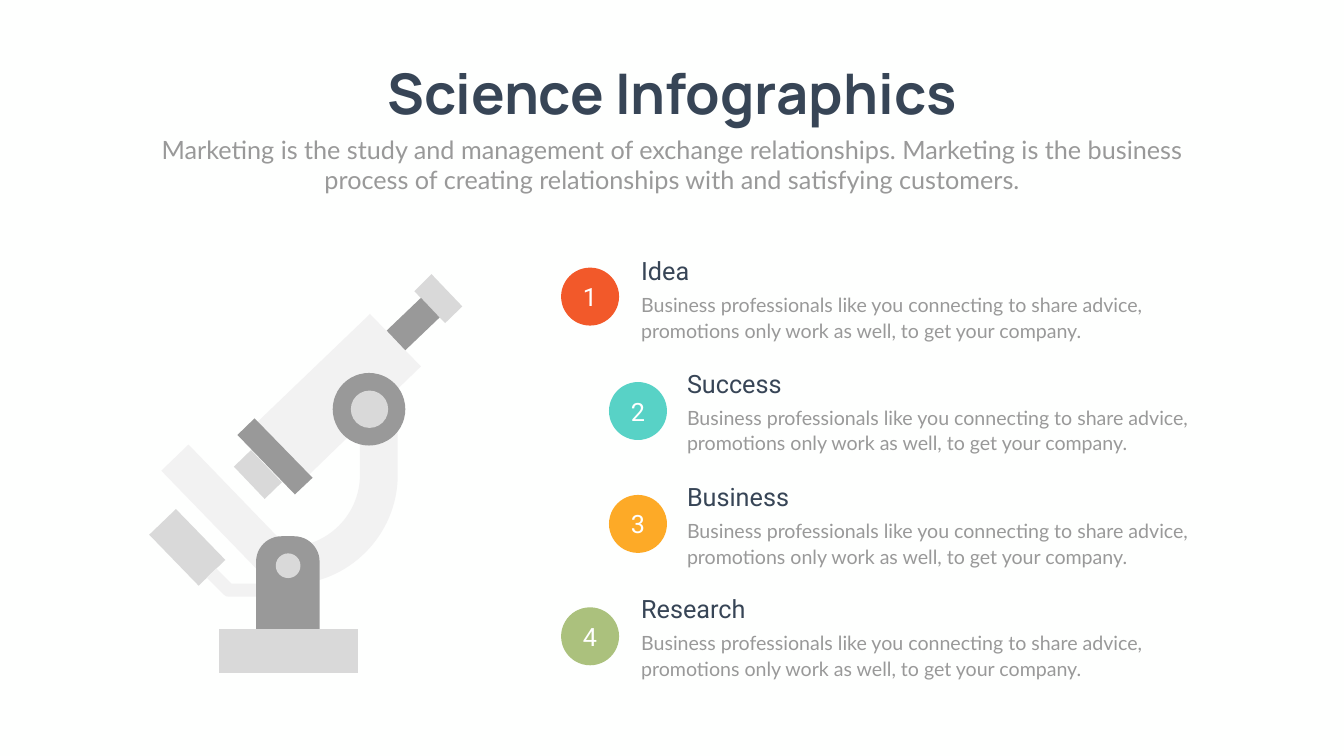
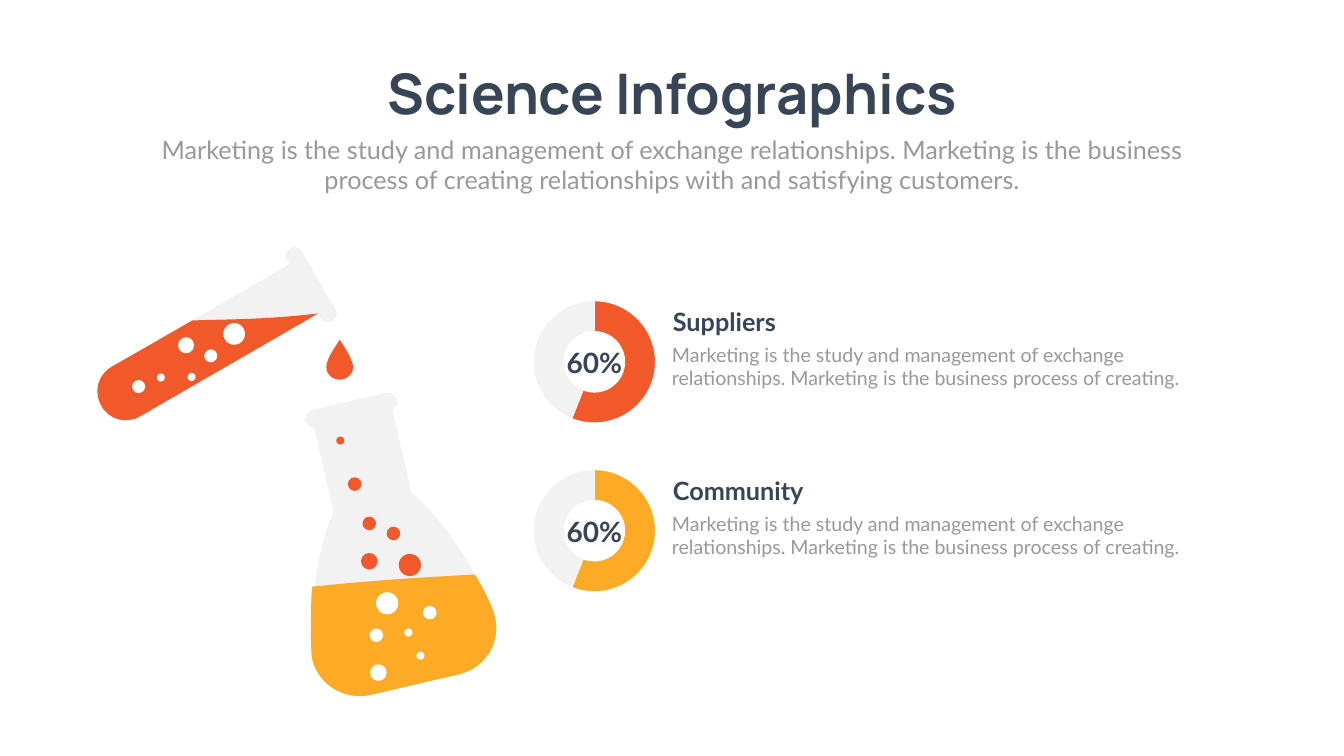
from lxml import etree
from pptx import Presentation
from pptx.chart.data import CategoryChartData
from pptx.dml.color import RGBColor
from pptx.enum.chart import XL_CHART_TYPE as Chart
from pptx.enum.shapes import MSO_SHAPE as Shape
from pptx.enum.text import MSO_ANCHOR as Anchor, MSO_AUTO_SIZE as AutoSize, PP_ALIGN as Align
from pptx.oxml.ns import qn
from pptx.util import Cm, Pt

# Shared look
NAVY, GRAY, WHITE, PAPER = "374556", "999999", "FFFFFF", "FEFFFE"
LIGHT, PALE = "D9D9D9", "F2F2F2"
ORANGE, TEAL, AMBER, GREEN = "F2592A", "58D2C6", "FDAA27", "ABC17D"

TITLE = "Science Infographics"
SUBTITLE = ("Marketing is the study and management of exchange relationships. "
            "Marketing is the business process of creating relationships with "
            "and satisfying customers.")
STYLES = {
    "title": {"font": {"size": Pt(80), "name": "Manrope", "bold": True},
              "color": NAVY, "para": {"alignment": Align.CENTER}},
    "subtitle": {"font": {"size": Pt(36), "name": "Lato"},
                 "color": GRAY, "para": {"alignment": Align.CENTER}},
    "number": {"font": {"size": Pt(36), "name": "Roboto"},
               "color": WHITE, "para": {"alignment": Align.CENTER}},
    "step": {"font": {"size": Pt(36), "name": "Roboto"},
             "color": NAVY, "para": {"alignment": Align.LEFT}},
    "step_body": {"font": {"size": Pt(28), "name": "Lato"}, "color": GRAY,
                  "para": {"alignment": Align.LEFT, "line_spacing": Pt(36.6)}},
    "percent": {"font": {"size": Pt(40), "name": "Lato", "bold": True},
                "color": NAVY, "para": {"alignment": Align.CENTER}},
    "topic": {"font": {"size": Pt(36), "name": "Lato", "bold": True},
              "color": NAVY, "para": {"alignment": Align.LEFT}},
    "topic_body": {"font": {"size": Pt(28), "name": "Lato"},
                   "color": GRAY, "para": {"alignment": Align.LEFT}},
}

# Slide 1: steps as name, colour, indented, badge top, text top
STEPS = [("Idea", ORANGE, False, 5.31, 5.01), ("Success", TEAL, True, 7.58, 7.25),
         ("Business", AMBER, True, 9.82, 9.5), ("Research", GREEN, False, 12.05, 11.72)]
STEP_BODY = ("Business professionals like you connecting to share advice, "
             "promotions only work as well, to get your company.")

# Outlines: a pair is a line to a point, six numbers are a Bezier curve
MICROSCOPE = [
    (LIGHT, [(4.34, 13.35), (7.11, 13.35), (7.11, 12.48), (4.34, 12.48)]),  # foot
    (PALE, [(5.11, 8.37), (6.13, 9.42), (8.35, 7.27), (7.34, 6.23)]),  # tube
    (GRAY, [(4.71, 8.63), (5.85, 9.81), (6.2, 9.48), (5.05, 8.3)]),  # collar
    (PALE, [(3.2, 9.34), (5.12, 11.32), (5.66, 10.81), (3.74, 8.82)]),  # stage
    (LIGHT, [(2.96, 10.61), (3.94, 11.62), (4.47, 11.11), (3.49, 10.1)]),  # lamp
    (LIGHT, [(4.64, 9.26), (5.25, 9.9), (5.59, 9.57), (4.98, 8.93)]),  # lens
    (LIGHT, [(8.22, 5.78), (8.83, 6.41), (9.17, 6.08), (8.56, 5.44)]),  # eyepiece
    (GRAY, [(7.67, 6.56), (8.04, 6.95), (8.72, 6.3), (8.35, 5.91)]),  # neck
    (PALE, [(5.71, 11.6), (6.91, 11.6, 7.89, 10.62, 7.89, 9.42), (7.89, 8.08),
            (7.14, 8.08), (7.14, 9.42), (7.14, 10.21, 6.5, 10.85, 5.71, 10.85)]),  # arm
    (PALE, [(4.54, 11.84), (5.15, 11.84), (5.15, 11.58), (4.59, 11.58), (4.29, 11.28),
            (4.1, 11.46), (4.44, 11.8), (4.47, 11.83, 4.5, 11.84, 4.54, 11.84)]),  # cable
]
KNOB = [(GRAY, 6.6, 7.4, 1.44), (LIGHT, 6.96, 7.75, 0.74)]
STAND, HINGE = (5.08, 10.64, 1.26, 1.84), (LIGHT, 5.47, 10.98, 0.49)

# Slide 2: glassware and charts
DROP = [(6.54, 7.45), (6.44, 7.35, 6.46, 7.24, 6.54, 7.06),
        (6.63, 6.91, 6.66, 6.86, 6.74, 6.74), (6.82, 6.87, 6.85, 6.9, 6.93, 7.06),
        (7.02, 7.24, 7.04, 7.35, 6.93, 7.45), (6.83, 7.56, 6.65, 7.56, 6.54, 7.45)]
TUBE_LIQUID = [(2.01, 8.05), (1.85, 7.78, 1.94, 7.44, 2.21, 7.28),
               (2.75, 6.97, 3.28, 6.67, 3.81, 6.36), (4.51, 6.33, 5.19, 6.35, 6.31, 6.22),
               (2.78, 8.26), (2.51, 8.42, 2.16, 8.33, 2.01, 8.05)]
FLASK_BASE = [(9.94, 12.75, 9.62, 13.26, 9.1, 13.38), (7.34, 13.79)]
FLASK = [(6.19, 13.07), (6.08, 12.43, 6.3, 10.71, 6.64, 10.13), (8.16, 9.78),
         (8.69, 10.13, 9.66, 11.64, 9.82, 12.24), *FLASK_BASE,
         (6.83, 13.91, 6.31, 13.59, 6.19, 13.07)]
FLASK_LIQUID = [(6.19, 11.64), (7.4, 11.52, 8.1, 11.47, 9.42, 11.4),
                (9.62, 11.73, 9.76, 12.03, 9.82, 12.24), *FLASK_BASE,
                (6.82, 13.9, 6.31, 13.58, 6.19, 13.07),
                (6.16, 12.85, 6.16, 12.02, 6.19, 11.64)]
TUBE_BUBBLES = [(3.53, 6.69, 0.32), (3.11, 7.41, 0.16), (2.62, 7.54, 0.26),
                (4.43, 6.41, 0.43), (3.72, 7.4, 0.16), (4.05, 6.93, 0.26)]
FLASK_BUBBLES = [(7.34, 13.18, 0.33), (8.02, 12.47, 0.16), (7.33, 12.47, 0.27),
                 (7.46, 11.75, 0.44), (8.26, 12.93, 0.16), (8.39, 12.02, 0.27)]
RISING_BUBBLES = [(7.16, 10.97, 0.33), (6.67, 8.66, 0.16), (7.19, 10.25, 0.27),
                  (7.91, 10.99, 0.44), (7.67, 10.45, 0.27), (6.9, 9.47, 0.27)]
TOPICS = [("Suppliers", "60%", ORANGE), ("Community", "60%", AMBER)]
TOPIC_BODY = ("Marketing is the study and management of exchange relationships. "
              "Marketing is the business process of creating.")
SHARES = {"1": 56, "2": 44}
CHART_TOP, CHART_PITCH = 5.83, 3.35
RING = {"x": 0.08, "y": 0.05, "w": 0.84, "h": 0.9}


def inch(v):
    return Cm(v * 2.54)


def place(box):
    return [inch(v) for v in box]


def rgb(color):
    return RGBColor.from_string(color)


def paint(sp, color):
    sp.shadow.inherit = False
    sp.fill.solid()
    sp.fill.fore_color.rgb = rgb(color)
    sp.line.fill.background()
    return sp


def write(sp, text, style, **frame):
    tf = sp.text_frame
    for name, value in frame.items():
        setattr(tf, name, value)
    p = tf.paragraphs[0]
    r = p.add_run()
    r.text = text
    look = STYLES[style]
    for target, values in ((p, look["para"]), (r.font, look["font"])):
        for name, value in values.items():
            setattr(target, name, value)
    r.font.color.rgb = rgb(look["color"])


def add_text(s, box, text, style):
    write(s.shapes.add_textbox(*place(box)), text, style,
          word_wrap=True, auto_size=AutoSize.SHAPE_TO_FIT_TEXT)


def add_preset(s, kind, box, color, turn=0, adjust=()):
    sp = paint(s.shapes.add_shape(kind, *place(box)), color)
    sp.rotation = turn
    for i, value in enumerate(adjust):
        sp.adjustments[i] = value
    return sp


def add_circle(s, color, left, top, size, turn=0):
    return add_preset(s, Shape.OVAL, (left, top, size, size), color, turn)


def add_outline(s, color, outline):
    start, *parts = outline
    points = [place(part[i:i + 2]) for part in parts for i in range(0, len(part), 2)]
    builder = s.shapes.build_freeform(*place(start))
    builder.add_line_segments(points, close=True)
    sp = paint(builder.convert_to_shape(), color)
    # Join each three points of a curve into one Bezier segment
    lines = iter(sp.element.findall(".//" + qn("a:lnTo")))
    for part in parts:
        nodes = [next(lines) for _ in range(len(part) // 2)]
        if len(nodes) == 3:
            curve = etree.Element(qn("a:cubicBezTo"))
            nodes[0].addprevious(curve)
            for node in nodes:
                curve.append(node[0])
                node.getparent().remove(node)


def add_ring(s, box, color):
    data = CategoryChartData()
    data.categories = list(SHARES)
    data.add_series("Series 1", list(SHARES.values()))
    chart = s.shapes.add_chart(Chart.DOUGHNUT, *place(box), data).chart
    chart.has_legend = chart.has_title = False
    for name, value in {"size": Pt(10), "name": "Calibri"}.items():
        setattr(chart.font, name, value)
    chart.font.color.rgb = rgb(GRAY)
    plot = chart.plots[0]
    for i, fill in enumerate((color, PALE)):
        fmt = plot.series[0].points[i].format
        fmt.fill.solid()
        fmt.fill.fore_color.rgb = rgb(fill)
        fmt.line.color.rgb = rgb(WHITE)
        fmt.line.width = Pt(1)
    # Hole size and ring position
    area = chart.element.find(".//" + qn("c:plotArea"))
    area.find(".//" + qn("c:holeSize")).set("val", "75")
    for old in area.findall(qn("c:layout")):
        area.remove(old)
    layout = etree.Element(qn("c:layout"))
    area.insert(0, layout)
    manual = etree.SubElement(layout, qn("c:manualLayout"))
    settings = {"layoutTarget": "inner", "xMode": "edge", "yMode": "edge", **RING}
    for tag, value in settings.items():
        etree.SubElement(manual, qn("c:" + tag)).set("val", str(value))


def add_slide(prs):
    s = prs.slides.add_slide(prs.slide_layouts[5])
    s.background.fill.solid()
    s.background.fill.fore_color.rgb = rgb(PAPER)
    title = s.shapes.title
    title.left, title.top, title.width, title.height = place((7.17, 1.12, 12.33, 1.45))
    write(title, TITLE, "title", word_wrap=False, vertical_anchor=Anchor.TOP,
          auto_size=AutoSize.SHAPE_TO_FIT_TEXT)
    add_text(s, (2.92, 2.61, 20.82, 1.31), SUBTITLE, "subtitle")
    return s


def microscope_slide(prs):
    s = add_slide(prs)
    for color, outline in MICROSCOPE:
        add_outline(s, color, outline)
    for circle in KNOB:
        add_circle(s, *circle)
    add_preset(s, Shape.ROUND_2_SAME_RECTANGLE, STAND, GRAY, adjust=(0.4, 0))
    add_circle(s, *HINGE)

    # Numbered steps
    margins = {f"margin_{side}": inch(0.08) for side in ("left", "top", "right", "bottom")}
    for i, (name, color, indented, badge_top, top) in enumerate(STEPS, 1):
        badge_x, text_x = (12.08, 13.53) if indented else (11.13, 12.62)
        badge = add_circle(s, color, badge_x, badge_top, 1.15)
        write(badge, str(i), "number", vertical_anchor=Anchor.MIDDLE, **margins)
        add_text(s, (text_x, top + 0.71, 10.17, 1.09), STEP_BODY, "step_body")
        add_text(s, (text_x, top, 3.26, 0.71), name, "step")


def flask_slide(prs):
    s = add_slide(prs)
    # Test tube
    add_outline(s, ORANGE, DROP)
    add_preset(s, Shape.ROUNDED_RECTANGLE, (5.34, 5.48, 1.67, 0.34), PALE, 60, (0.47,))
    add_preset(s, Shape.ROUND_2_SAME_RECTANGLE, (3.48, 4.55, 1.13, 4.65), PALE, 240, (0.5, 0))
    add_outline(s, ORANGE, TUBE_LIQUID)
    for bubble in TUBE_BUBBLES:
        add_circle(s, WHITE, *bubble, turn=332)

    # Flask
    add_preset(s, Shape.RECTANGLE, (6.48, 8.27, 1.59, 2.39), PALE, 347)
    add_outline(s, PALE, FLASK)
    add_outline(s, AMBER, FLASK_LIQUID)
    for color, bubbles in ((WHITE, FLASK_BUBBLES), (ORANGE, RISING_BUBBLES)):
        for bubble in bubbles:
            add_circle(s, color, *bubble, turn=332)
    add_preset(s, Shape.ROUNDED_RECTANGLE, (6.04, 7.96, 1.86, 0.36), PALE, 347, (0.5,))

    # Ring charts with their topics
    for i, (name, percent, color) in enumerate(TOPICS):
        top = CHART_TOP + i * CHART_PITCH
        add_ring(s, (10.35, top, 2.88, 2.7), color)
        add_text(s, (10.94, top + 0.98, 1.7, 0.77), percent, "percent")
        add_text(s, (13.25, top + 0.2, 3.93, 0.71), name, "topic")
        add_text(s, (13.23, top + 0.92, 11.48, 1.04), TOPIC_BODY, "topic_body")


def main():
    prs = Presentation()
    prs.slide_width, prs.slide_height = place((26.66, 15))
    microscope_slide(prs)
    flask_slide(prs)
    prs.save("out.pptx")


if __name__ == "__main__":
    main()
